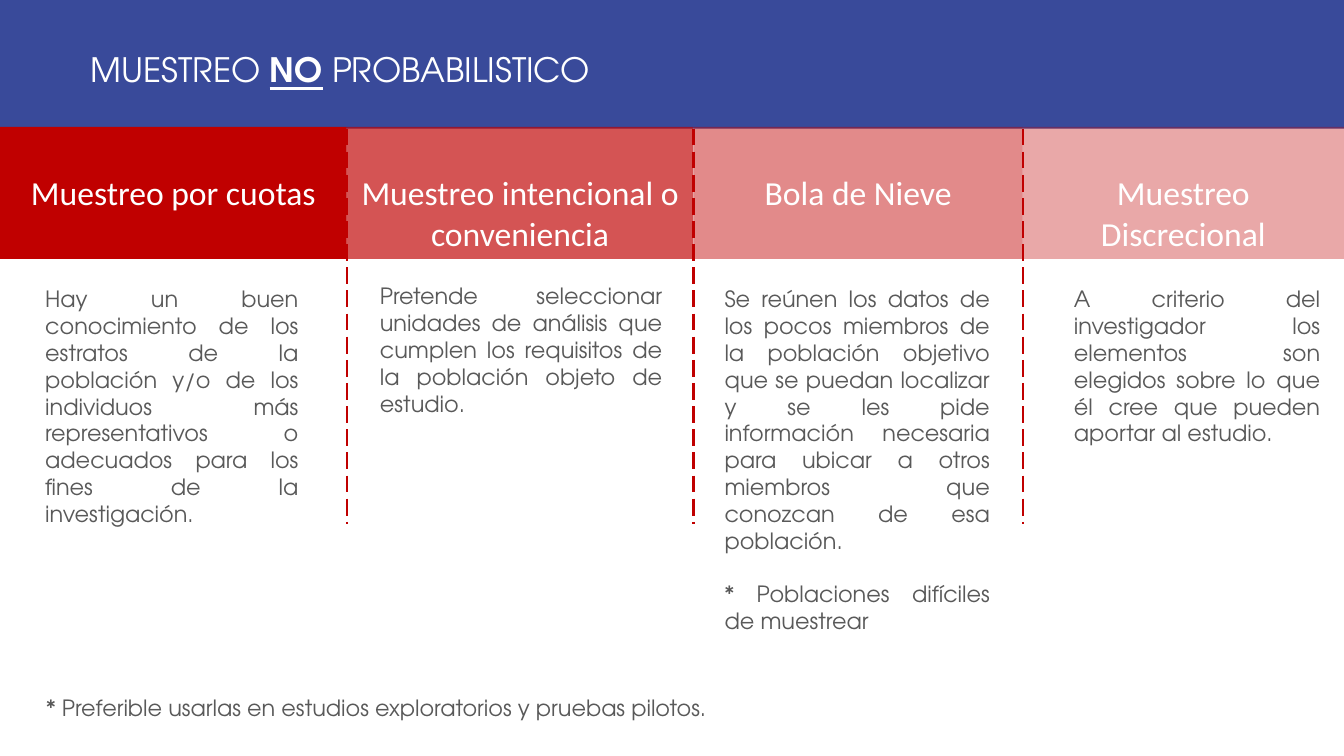
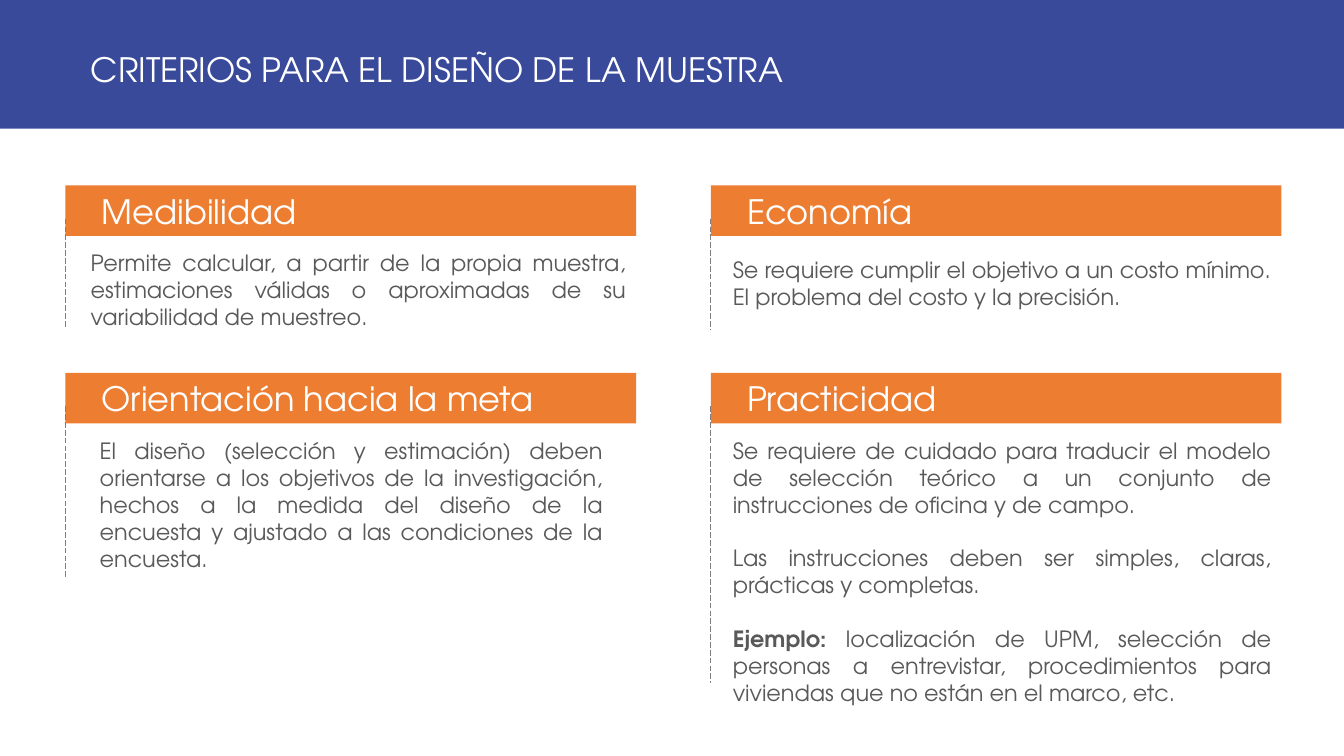
from lxml.etree import SubElement
from pptx import Presentation
from pptx.dml.color import RGBColor
from pptx.enum.dml import MSO_LINE
from pptx.enum.shapes import MSO_CONNECTOR, MSO_SHAPE
from pptx.enum.text import MSO_ANCHOR, PP_ALIGN
from pptx.oxml.ns import qn
from pptx.util import Inches, Pt

# Shared look
C = {"blue": "394A9A", "red": "C00000", "orange": "ED7D31",
     "grey": "595959", "rule": "7F7F7F", "white": "FFFFFF"}
SANS, GEO = "Calibri", "TeX Gyre Adventor"
W, H = 13.33, 7.5
TITLE_H = 0.17 * H
BLANK_LINE = 19
JUST, CENTER, LEFT = PP_ALIGN.JUSTIFY, PP_ALIGN.CENTER, PP_ALIGN.LEFT


def add_text(s, text, x, y, w, h, size=16, font=GEO, color="grey", align=JUST,
             fill=None, alpha=100, left=0.1, top=0.05, anchor=MSO_ANCHOR.TOP):
    """text: paragraphs split by newlines; *...* is bold, _..._ bold underlined,
    given as (style, words) runs when a paragraph is a list."""
    box = [Inches(v) for v in (x, y, w, h)]
    if fill:
        sp = s.shapes.add_shape(MSO_SHAPE.RECTANGLE, *box)
        sp.shadow.inherit = False
        sp.line.fill.background()
        sp.fill.solid()
        sp.fill.fore_color.rgb = RGBColor.from_string(C[fill])
        if alpha < 100:
            clr = sp._element.spPr.find(".//" + qn("a:srgbClr"))
            SubElement(clr, qn("a:alpha"), val=str(alpha * 1000))
    else:
        sp = s.shapes.add_textbox(*box)
    tf = sp.text_frame
    tf.word_wrap = True
    tf.vertical_anchor = anchor
    tf.margin_left, tf.margin_top = Inches(left), Inches(top)
    for i, para in enumerate([text] if isinstance(text, str) else text):
        p = tf.add_paragraph() if i else tf.paragraphs[0]
        p.alignment = align
        if i:
            p.space_before = Pt(BLANK_LINE)
        for style, words in [("", para)] if isinstance(para, str) else para:
            r = p.add_run()
            r.text = words
            r.font.size, r.font.name = Pt(size), font
            r.font.color.rgb = RGBColor.from_string(C[color])
            r.font.bold = "b" in style
            r.font.underline = "u" in style


def add_dash(s, x, y1, y2, color, width):
    ln = s.shapes.add_connector(MSO_CONNECTOR.STRAIGHT, Inches(x), Inches(y1),
                                Inches(x), Inches(y2))
    ln.line.color.rgb = RGBColor.from_string(C[color])
    ln.line.width = Pt(width)
    ln.line.dash_style = MSO_LINE.LONG_DASH
    SubElement(ln._element.spPr, qn("a:effectLst"))


prs = Presentation()
prs.slide_width, prs.slide_height = Inches(W), Inches(H)

# Slides with their title bands
titles = [
    [[("", "MUESTREO "), ("bu", "NO"), ("", " PROBABILISTICO")]],
    "CRITERIOS PARA EL DISEÑO DE LA MUESTRA",
]
slides = []
for title in titles:
    s = prs.slides.add_slide(prs.slide_layouts[6])
    add_text(s, title, 0, 0, W, TITLE_H, size=24, color="white", align=LEFT,
             fill="blue", left=0.9, top=0.14, anchor=MSO_ANCHOR.MIDDLE)
    slides.append(s)
types, criteria = slides

# Slide 1: four columns, each a paler red than the last
edges = [W * share for share in (0, 0.258, 0.516, 0.761, 1)]
head_y, head_h = 1.26, 1.31
# heading, opacity, text indent, text top, text width, alignment, text
columns = [
    ("Muestreo por cuotas", 100, 0.35, 2.78, 2.71, JUST,
     "Hay un buen conocimiento de los estratos de la población y/o de los "
     "individuos más representativos o adecuados para los fines de la "
     "investigación."),
    ("Muestreo intencional o conveniencia", 67, 0.23, 2.75, 3, JUST,
     "Pretende seleccionar unidades de análisis que cumplen los requisitos "
     "de la población objeto de estudio."),
    ("Bola de Nieve", 46, 0.21, 2.78, 2.83, JUST,
     ["Se reúnen los datos de los pocos miembros de la población objetivo "
      "que se puedan localizar y se les pide información necesaria para "
      "ubicar a otros miembros que conozcan de esa población.",
      "* Poblaciones difíciles de muestrear"]),
    ("Muestreo Discrecional", 34, 0.41, 2.78, 2.64, LEFT,
     "A criterio del investigador los elementos son elegidos sobre lo que "
     "él cree que pueden aportar al estudio."),
]
for i, (head, alpha, indent, y, w, align, body) in enumerate(columns):
    x, right = edges[i:i + 2]
    if i:
        add_dash(types, x, TITLE_H, 5.2, "red", 1.5)
    add_text(types, head, x, head_y, right - x, head_h, size=24, font=SANS,
             color="white", align=CENTER, fill="red", alpha=alpha, top=0.45)
    add_text(types, body, x + indent, y, w, 0.5 * H)

# Footnote
add_text(types, "* Preferible usarlas en estudios exploratorios y pruebas "
         "pilotos.", 0.36, 6.84, 7.48, 0.37)

# Slide 2: two by two cards
card_x, card_y, step_x, step_y = 0.65, 1.84, 6.4, 1.86
card_w, bar_h = 5.66, 0.5
# column, row, heading, rule end, text offset x and y, text width and height, text
cards = [
    (0, 0, "Medibilidad", 3.25, 0.15, 0.58, 5.51, 0.91,
     "Permite calcular, a partir de la propia muestra, estimaciones válidas "
     "o aproximadas de su variabilidad de muestreo."),
    (1, 0, "Economía", 3.27, 0.12, 0.65, 5.54, 0.64,
     "Se requiere cumplir el objetivo a un costo mínimo. El problema del "
     "costo y la precisión."),
    (0, 1, "Orientación hacia la meta", 5.73, 0.24, 0.59, 5.19, 1.45,
     "El diseño (selección y estimación) deben orientarse a los objetivos de "
     "la investigación, hechos a la medida del diseño de la encuesta y "
     "ajustado a las condiciones de la encuesta."),
    (1, 1, "Practicidad", 6.78, 0.12, 0.59, 5.54, 2.79,
     ["Se requiere de cuidado para traducir el modelo de selección teórico a "
      "un conjunto de instrucciones de oficina y de campo.",
      "Las instrucciones deben ser simples, claras, prácticas y completas.",
      [("b", "Ejemplo: "),
       ("", "localización de UPM, selección de personas a entrevistar, "
            "procedimientos para viviendas que no están en el marco, etc.")]]),
]
for col, row, head, end, dx, dy, w, h, body in cards:
    x, y = card_x + col * step_x, card_y + row * step_y
    add_text(criteria, head, x, y, card_w, bar_h, size=24, color="white",
             align=LEFT, fill="orange", left=0.36)
    add_dash(criteria, x, y + 0.33, end, "rule", 0.5)
    add_text(criteria, body, x + dx, y + dy, w, h)

prs.save("out.pptx")
